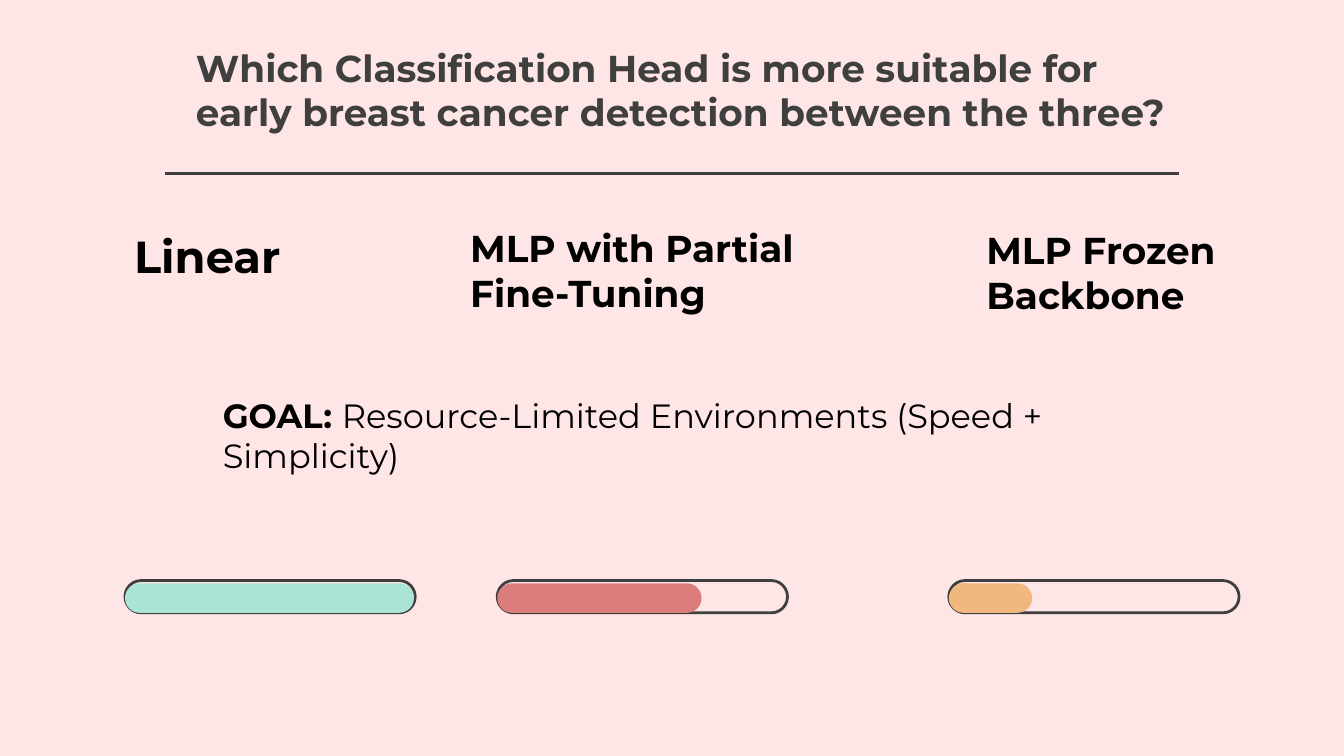
from pptx import Presentation
from pptx.dml.color import RGBColor
from pptx.enum.shapes import MSO_CONNECTOR, MSO_SHAPE
from pptx.enum.text import MSO_ANCHOR
from pptx.util import Inches, Pt
from lxml import etree

STRAIGHT = MSO_CONNECTOR.STRAIGHT
ROUNDED = MSO_SHAPE.ROUNDED_RECTANGLE
TOP, BOTTOM = MSO_ANCHOR.TOP, MSO_ANCHOR.BOTTOM

FONT = "Montserrat"
PINK, GREY, BLACK = "FFE6E6", "3F3F3F", "000000"
EFFECT_LIST = "{http://schemas.openxmlformats.org/drawingml/2006/main}effectLst"

SLIDE_WIDTH = Inches(10)
SLIDE_HEIGHT = SLIDE_WIDTH * 9 // 16

BAR_TOP, BAR_WIDTH, BAR_HEIGHT = 4.32, 2.16, 0.24
FILL_HEIGHT = 0.22

# heading, heading box, heading size, bar left, filled width, fill colour
HEADS = [
    ("Linear", (0.9, 1.65, 5, 0.5), 24, 0.93, 2.15, "A9E4D5"),
    ("MLP with Partial Fine-Tuning", (3.4, 1.63, 3.24, 0.46), 20, 3.7, 1.52, "DB7D7D"),
    ("MLP Frozen Backbone", (7.24, 1.64, 3.07, 0.46), 20, 7.06, 0.62, "F0B87E"),
]


def color(hex_value):
    return RGBColor.from_string(hex_value)


def add_text(slide, box, runs, size, text_color=BLACK, anchor=TOP, inset=0.05):
    """Write one paragraph of (text, bold) runs into the box."""
    frame = slide.shapes.add_textbox(*map(Inches, box)).text_frame
    frame.word_wrap = True
    frame.vertical_anchor = anchor
    frame.margin_top = frame.margin_bottom = Inches(inset)
    paragraph = frame.paragraphs[0]
    paragraph.font.name = FONT
    paragraph.font.size = Pt(size)
    paragraph.font.color.rgb = color(text_color)
    for text, bold in runs:
        run = paragraph.add_run()
        run.text = text
        run.font.bold = bold


def add_pill(slide, box):
    pill = slide.shapes.add_shape(ROUNDED, *map(Inches, box))
    pill.adjustments[0] = 0.5
    pill.shadow.inherit = False
    return pill


def add_bar(slide, left, filled_width, fill_color):
    """Outlined track with a filled part at its left end."""
    track = add_pill(slide, (left, BAR_TOP, BAR_WIDTH, BAR_HEIGHT))
    track.fill.background()
    track.line.color.rgb = color(GREY)
    track.line.width = Pt(1.5)

    filled_top = BAR_TOP + BAR_HEIGHT - FILL_HEIGHT
    filled = add_pill(slide, (left, filled_top, filled_width, FILL_HEIGHT))
    filled.fill.solid()
    filled.fill.fore_color.rgb = color(fill_color)
    filled.line.fill.background()


def add_title(slide, box):
    """Question with a rule below it."""
    question = ("Which Classification Head is more suitable for "
                "early breast cancer detection between the three?")
    add_text(slide, box, [(question, True)], 20, GREY, BOTTOM, 0.1)

    left, top, width, height = box
    rule_y = Inches(top + height + 0.19)
    rule = slide.shapes.add_connector(
        STRAIGHT, Inches(left - 0.13), rule_y, Inches(left + width), rule_y)
    rule.line.color.rgb = color(GREY)
    rule.line.width = Pt(1.5)
    etree.SubElement(rule.element.spPr, EFFECT_LIST)


def main():
    prs = Presentation()
    prs.slide_width, prs.slide_height = SLIDE_WIDTH, SLIDE_HEIGHT
    slide = prs.slides.add_slide(prs.slide_layouts[6])
    slide.background.fill.solid()
    slide.background.fill.fore_color.rgb = color(PINK)

    add_title(slide, (1.36, -0.3, 7.41, 1.4))

    # Classification heads with their scores
    for heading, box, size, bar_left, filled_width, fill_color in HEADS:
        add_text(slide, box, [(heading, True)], size)
        add_bar(slide, bar_left, filled_width, fill_color)

    # Goal
    goal = [("GOAL: ", True),
            ("Resource-Limited Environments (Speed + Simplicity)", False)]
    add_text(slide, (1.56, 2.89, 7.66, 0.71), goal, 18)

    prs.save("out.pptx")


if __name__ == "__main__":
    main()
